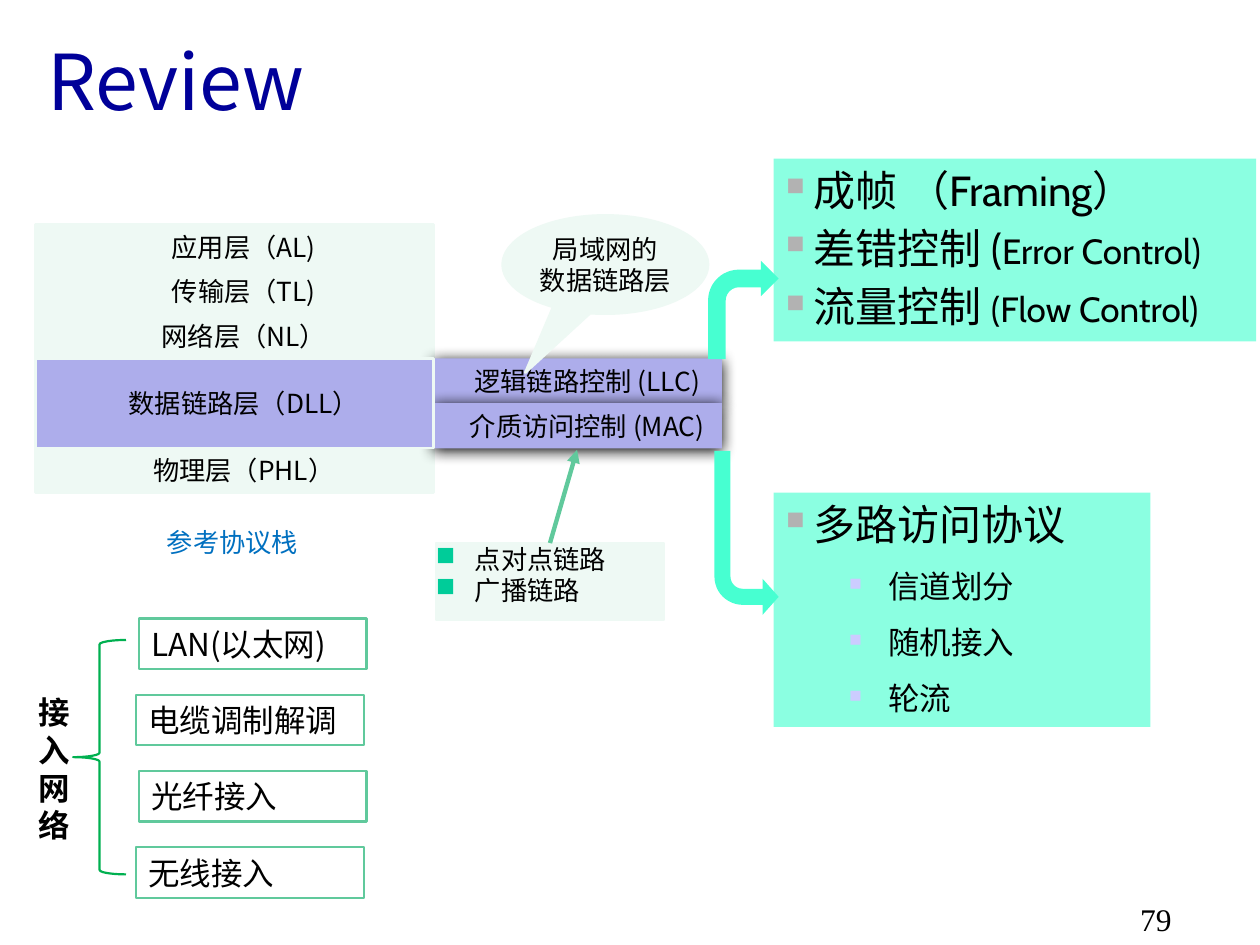
from lxml import etree
from pptx import Presentation
from pptx.dml.color import RGBColor
from pptx.enum.shapes import MSO_CONNECTOR, MSO_SHAPE
from pptx.enum.text import MSO_ANCHOR, MSO_AUTO_SIZE, PP_ALIGN
from pptx.oxml.ns import qn
from pptx.util import Inches, Pt

RECT = MSO_SHAPE.RECTANGLE
CALLOUT = MSO_SHAPE.OVAL_CALLOUT
BENT_ARROW = MSO_SHAPE.BENT_ARROW
BRACE = MSO_SHAPE.LEFT_BRACE
STRAIGHT = MSO_CONNECTOR.STRAIGHT
LEFT, CENTER = PP_ALIGN.LEFT, PP_ALIGN.CENTER
TOP, MIDDLE = MSO_ANCHOR.TOP, MSO_ANCHOR.MIDDLE
GROW = MSO_AUTO_SIZE.SHAPE_TO_FIT_TEXT

SANS, CABIN, SERIF = "Noto Sans CJK SC", "Cabin", "Times New Roman"
COLORS = {
    "title": "000099", "text": "000000", "caption": "0070C0",
    "pale": "EEF9F4", "link": "ADADEB", "mint": "8BFFE1", "arrow": "47FFD1",
    "edge": "60C99C", "brace": "00B050",
    "gray_bullet": "B2B2B2", "lilac_bullet": "CCCCFF", "green_bullet": "00CC99",
}


def rgb(name):
    return RGBColor.from_string(COLORS[name])


def add_box(slide, kind, box, fill=None, line=None, width=1.5):
    shape = slide.shapes.add_shape(kind, *map(Inches, box))
    shape.shadow.inherit = False
    if fill:
        shape.fill.solid()
        shape.fill.fore_color.rgb = rgb(fill)
    else:
        shape.fill.background()
    if line:
        shape.line.color.rgb = rgb(line)
        shape.line.width = Pt(width)
    else:
        shape.line.fill.background()
    return shape


def set_frame(shape, anchor=TOP, inset=None, wrap=True, grow=False):
    frame = shape.text_frame
    frame.word_wrap = wrap
    frame.vertical_anchor = anchor
    if inset is not None:
        frame.margin_left = frame.margin_right = Inches(inset)
        frame.margin_top = frame.margin_bottom = Inches(inset)
    if grow:
        frame.auto_size = GROW
    return frame


def add_paragraph(frame, runs, font=SANS, color="text", align=LEFT, bold=False,
                  indent=(0, 0), bullet=None, bullet_size=100):
    first = not frame.paragraphs[0].runs
    paragraph = frame.paragraphs[0] if first else frame.add_paragraph()
    props = paragraph._p.get_or_add_pPr()
    props.set("marL", str(Inches(indent[0])))
    props.set("indent", str(Inches(indent[1])))
    if bullet:
        tint = etree.SubElement(props, qn("a:buClr"))
        etree.SubElement(tint, qn("a:srgbClr"), val=COLORS[bullet])
        etree.SubElement(props, qn("a:buSzPct"), val=str(bullet_size * 1000))
        etree.SubElement(props, qn("a:buFont"), typeface="Wingdings")
        etree.SubElement(props, qn("a:buChar"), char="n")
    paragraph.alignment = align
    for words, size in runs:
        run = paragraph.add_run()
        run.text = words
        run.font.name = font
        run.font.size = Pt(size)
        run.font.bold = bold
        run.font.color.rgb = rgb(color)
        east = etree.SubElement(run._r.get_or_add_rPr(), qn("a:ea"))
        east.set("typeface", SANS)
    return paragraph


def add_label(slide, box, words, size, anchor=TOP, grow=False, **style):
    label = slide.shapes.add_textbox(*map(Inches, box))
    add_paragraph(set_frame(label, anchor, grow=grow), [(words, size)], **style)


def add_layer(slide, box, words, fill, line=None):
    layer = add_box(slide, RECT, box, fill, line)
    frame = set_frame(layer, MIDDLE, 0, wrap=False)
    add_paragraph(frame, [(words, 15)], align=CENTER, indent=(0.15, 0))
    return layer


def add_glow(shape):
    effects = shape._element.spPr.find(qn("a:effectLst"))
    shadow = etree.SubElement(effects, qn("a:outerShdw"), blurRad=str(Pt(8.5)),
                              dist=str(Pt(1)), dir="5400000", rotWithShape="0")
    etree.SubElement(shadow, qn("a:srgbClr"), val=COLORS["text"])


def build_protocol_stack(slide, left, top, width, row):
    layers = [("应用层（AL)", 0), ("传输层（TL)", 1), ("网络层（NL）", 2), ("物理层（PHL）", 5)]
    for words, index in layers:
        add_layer(slide, (left, top + index * row, width, row), words, "pale", "pale")
    add_label(slide, (left + 0.37, top + 2.35, 2.39, 0.35), "参考协议栈", 15,
              grow=True, color="caption", align=CENTER)
    link_top = top + 3 * row
    for index, words in enumerate(["逻辑链路控制 (LLC)", "介质访问控制 (MAC)"]):
        add_glow(add_layer(slide, (left + width, link_top + index * row, 2.29, 0.36),
                           words, "link"))
    add_layer(slide, (left, link_top, width, 2 * row), "数据链路层（DLL）", "link", "pale")


def build_callout(slide, box):
    callout = add_box(slide, CALLOUT, box, "pale", "pale")
    callout.adjustments[0], callout.adjustments[1] = -0.39, 1.1
    frame = set_frame(callout, MIDDLE, 0, wrap=False)
    for words in ["局域网的", "数据链路层"]:
        add_paragraph(frame, [(words, 15)], align=CENTER)


def build_topics(slide, box, topics, subtopics=()):
    frame = set_frame(add_box(slide, RECT, box, "mint"), grow=True)
    entries = [(runs, 0) for runs in topics]
    entries += [([(words, 18)], 1) for words in subtopics]
    for index, (runs, level) in enumerate(entries):
        paragraph = add_paragraph(
            frame, runs, font=CABIN,
            indent=(0.81, -0.31) if level else (0.22, -0.22),
            bullet="lilac_bullet" if level else "gray_bullet",
            bullet_size=55 if level else 60)
        paragraph.level = level
        paragraph.line_spacing = Pt(28.5)
        if index:
            paragraph.space_before = Pt(3.6 if level else 4.8)


def build_arrows(slide, up_box, down_box):
    add_box(slide, BENT_ARROW, up_box, "arrow")
    down = add_box(slide, BENT_ARROW, down_box, "arrow")
    down.adjustments[1], down.adjustments[3] = 0.28, 0.44
    down._element.spPr.find(qn("a:xfrm")).set("flipV", "1")


def build_link_types(slide, box, target):
    frame = set_frame(add_box(slide, RECT, box, "pale", "pale"), inset=0)
    for words in ["点对点链路", "广播链路"]:
        add_paragraph(frame, [(words, 15)], indent=(0.31, -0.31), bullet="green_bullet")
    start = (box[0] + box[2] / 2, box[1])
    pointer = slide.shapes.add_connector(STRAIGHT, *map(Inches, (*start, *target)))
    pointer.line.color.rgb = rgb("edge")
    pointer.line.width = Pt(2.5)
    etree.SubElement(pointer.line._get_or_add_ln(), qn("a:tailEnd"), type="triangle")
    etree.SubElement(pointer._element.spPr, qn("a:effectLst"))


def build_access_networks(slide, left, top):
    add_box(slide, BRACE, (left + 0.37, top + 0.17, 0.42, 1.86), line="brace", width=1.25)
    add_label(slide, (left, top + 0.54, 0.23, 1.31), "接入网络", 18, grow=True, bold=True)
    networks = ["LAN(以太网)", "电缆调制解调", "光纤接入", "无线接入"]
    for index, words in enumerate(networks):
        box = (left + (0.87 if index % 2 else 0.89), top + 0.605 * index, 1.81, 0.4)
        network = add_box(slide, RECT, box, line="edge", width=1.25)
        add_paragraph(set_frame(network, grow=True), [(words, 18)])


def main():
    deck = Presentation()
    deck.slide_width, deck.slide_height = Inches(10), Inches(7.5)
    slide = deck.slides.add_slide(deck.slide_layouts[6])
    add_label(slide, (0.28, 0.14, 6.88, 0.99), "Review", 44, MIDDLE, color="title")
    add_label(slide, (8.95, 7.09, 0.74, 0.5), "79", 18, font=SERIF)
    build_protocol_stack(slide, 0.28, 1.78, 3.16, 0.355)
    build_callout(slide, (3.99, 1.71, 1.63, 0.78))
    build_topics(slide, (6.14, 1.26, 3.83, 1.45), [
        [("成帧 （Framing）", 24)],
        [("差错控制 (", 24), ("Error Control)", 20)],
        [("流量控制 ", 24), ("(Flow Control)", 20)],
    ])
    build_topics(slide, (6.14, 3.91, 2.99, 1.86), [[("多路访问协议", 24)]],
                 ["信道划分", "随机接入", "轮流"])
    build_arrows(slide, (5.62, 2.07, 0.56, 0.78), (5.67, 3.58, 0.51, 1.3))
    build_link_types(slide, (3.46, 4.31, 1.81, 0.61), (4.58, 3.57))
    build_access_networks(slide, 0.21, 4.91)
    deck.save("out.pptx")


if __name__ == "__main__":
    main()
